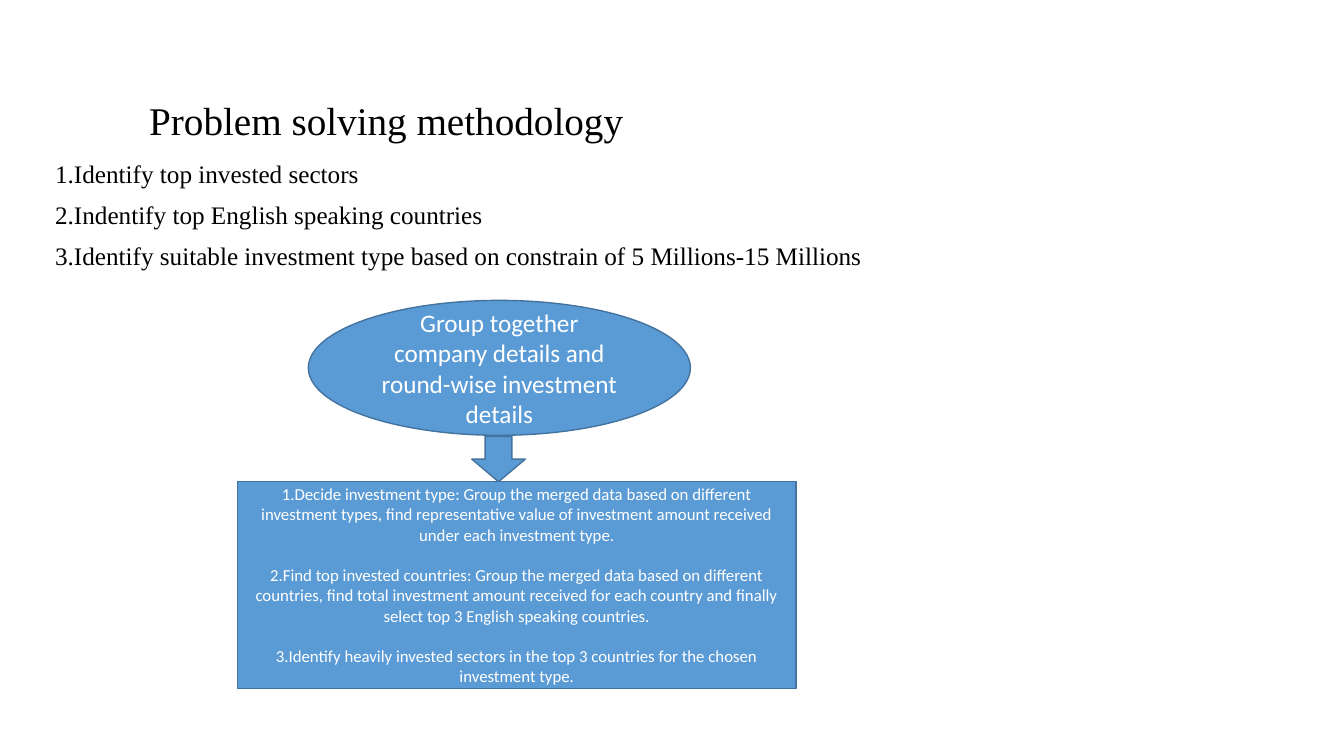
import pptx
import pptx.util
import pptx.dml.color
import pptx.enum.shapes
import pptx.enum.text

Cm, Pt = pptx.util.Cm, pptx.util.Pt
KIND = pptx.enum.shapes.MSO_SHAPE
ALIGN = pptx.enum.text.PP_ALIGN
ANCHOR = pptx.enum.text.MSO_ANCHOR


class Deck:
    """Draws styled elements on the current slide."""

    hues = {"ink": "000000", "fill": "5B9BD5", "edge": "43739E", "light": "FFFFFF"}
    serif = {"line_spacing": 0.9, "alignment": ALIGN.LEFT}
    label = {"alignment": ALIGN.CENTER}

    def __init__(self, wide, high):
        self.show = pptx.Presentation()
        self.show.slide_width, self.show.slide_height = Cm(wide), Cm(high)
        self.slide = self.show.slides.add_slide(self.show.slide_layouts[6])

    def hue(self, name):
        return pptx.dml.color.RGBColor.from_string(self.hues[name])

    def apply(self, item, values):
        for key, value in values.items():
            setattr(item, key, value)

    def letter(self, shape, lines, font, size, hue, para, gap=0, first=0, **frame):
        text = shape.text_frame
        self.apply(text, {"word_wrap": True, **frame})
        for index, line in enumerate(lines):
            part = text.add_paragraph() if index else text.paragraphs[0]
            self.apply(part, {**para, "space_before": Pt(gap if index else first)})
            run = part.add_run()
            run.text = line
            self.apply(run.font, {"name": font, "size": Pt(size)})
            run.font.color.rgb = self.hue(hue)

    def text(self, box, lines, size, **style):
        shape = self.slide.shapes.add_textbox(*map(Cm, box))
        self.letter(shape, lines, "Times New Roman", size, "ink", self.serif, **style)

    def shape(self, kind, box, lines=(), size=12, gap=0):
        shape = self.slide.shapes.add_shape(kind, *map(Cm, box))
        shape.shadow.inherit = False
        shape.fill.solid()
        shape.fill.fore_color.rgb = self.hue("fill")
        shape.line.color.rgb = self.hue("edge")
        shape.line.width = Pt(1)
        self.letter(shape, lines, "Calibri", size, "light", self.label, gap,
                    vertical_anchor=ANCHOR.MIDDLE)


def main():
    deck = Deck(33.87, 19.05)
    deck.text((1.14, 3.94, 31.12, 13.74), [
        "1.Identify top invested sectors",
        "2.Indentify top English speaking countries",
        "3.Identify suitable investment type based on constrain of 5 Millions-15 Millions",
    ], 18, gap=10, first=10)
    deck.text((3.15, 1.78, 25.88, 2.39), ["Problem solving methodology"], 28,
              vertical_anchor=ANCHOR.MIDDLE, margin_left=Cm(0.61), margin_top=Cm(0.35))
    deck.shape(KIND.OVAL, (7.77, 7.57, 9.63, 3.4), [
        "Group together company details and round-wise investment details",
    ], 18)
    deck.shape(KIND.DOWN_ARROW, (11.89, 11, 1.35, 1.14))
    deck.shape(KIND.RECTANGLE, (5.99, 12.14, 14.07, 5.21), [
        "1.Decide investment type: Group the merged data based on different investment "
        "types, find representative value of investment amount received under each "
        "investment type.",
        "2.Find top invested countries: Group the merged data based on different "
        "countries, find total investment amount received for each country and finally "
        "select top 3 English speaking countries.",
        "3.Identify heavily invested sectors in the top 3 countries for the chosen "
        "investment type.",
    ], gap=14.6)
    deck.show.save("out.pptx")


if __name__ == "__main__":
    main()
